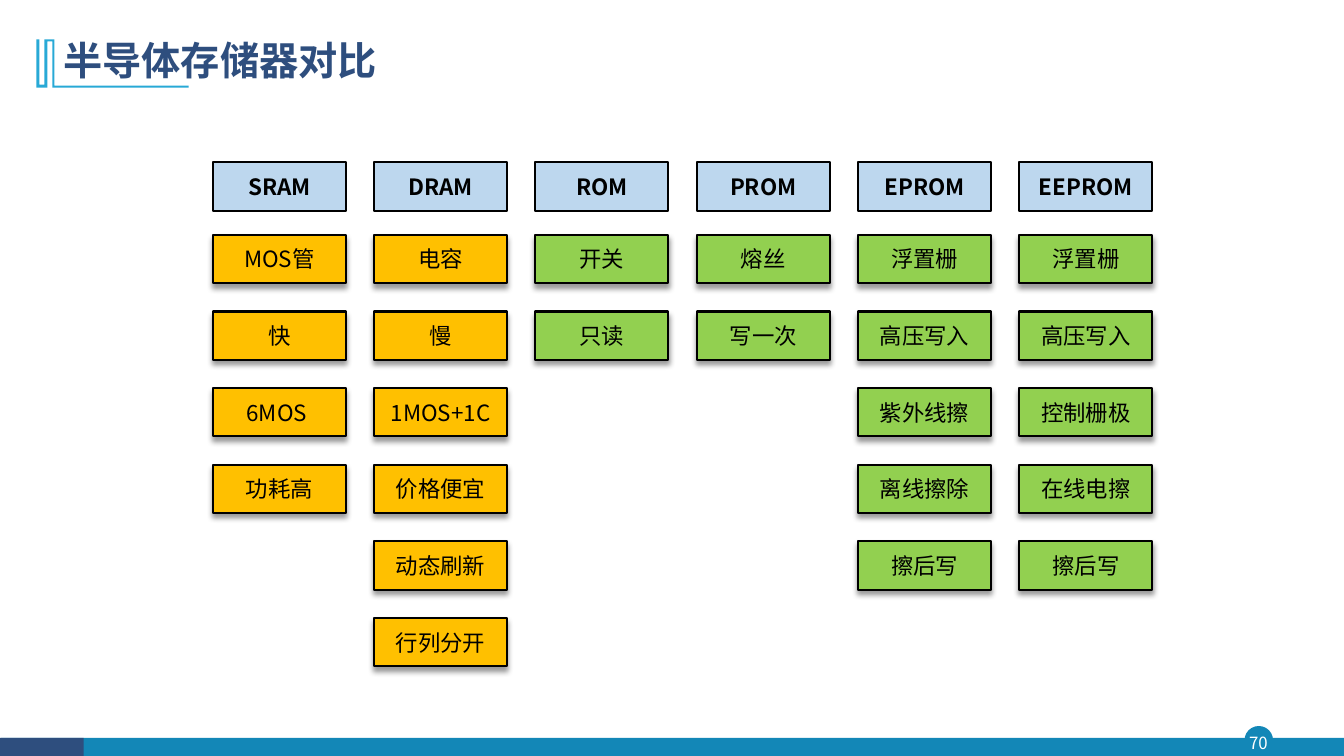
"""Build the slide comparing semiconductor memories."""
from lxml import etree
from pptx import Presentation
from pptx.dml.color import RGBColor
from pptx.enum.shapes import MSO_SHAPE
from pptx.enum.text import MSO_ANCHOR, PP_ALIGN
from pptx.oxml import parse_xml
from pptx.oxml.ns import nsdecls, qn
from pptx.util import Inches, Pt

RECT, OVAL = MSO_SHAPE.RECTANGLE, MSO_SHAPE.OVAL
MIDDLE = MSO_ANCHOR.MIDDLE
LEFT, CENTER = PP_ALIGN.LEFT, PP_ALIGN.CENTER

FONT = "Noto Sans CJK SC"
NAVY, TEAL, CYAN = "2E4E7E", "1387B7", "28A9D6"
BLUE, ORANGE, GREEN = "BDD7EE", "FFC000", "92D050"
BLACK, WHITE = "000000", "FFFFFF"

TITLE = "半导体存储器对比"
PAGE = "70"
MEMORIES = [
    ("SRAM", ORANGE, ["MOS管", "快", "6MOS ", "功耗高"]),
    ("DRAM", ORANGE, ["电容", "慢", "1MOS+1C", "价格便宜", "动态刷新", "行列分开"]),
    ("ROM", GREEN, ["开关", "只读"]),
    ("PROM", GREEN, ["熔丝", "写一次"]),
    ("EPROM", GREEN, ["浮置栅", "高压写入", "紫外线擦", "离线擦除", "擦后写"]),
    ("EEPROM", GREEN, ["浮置栅", "高压写入", "控制栅极", "在线电擦", "擦后写"]),
]
GRID_LEFT, COL_STEP = 2.11, 1.6
HEAD_TOP, ROW_TOP, ROW_STEP = 1.61, 2.33, 0.76
BOX_W, BOX_H = 1.32, 0.48
FOOTER = [
    (OVAL, 12.35, 7.21, 0.27, 0.27, TEAL),
    (RECT, 0.01, 7.32, 13.32, 0.19, TEAL),
    (RECT, 0, 7.32, 0.83, 0.19, NAVY),
]
TITLE_MARK = [
    (0.54, 0.39), (0.54, 0.85), (1.87, 0.85), (1.87, 0.87), (0.52, 0.87),
    (0.52, 0.41), (0.47, 0.41), (0.47, 0.87), (0.36, 0.87), (0.36, 0.39),
    (0.39, 0.39), (0.39, 0.84), (0.44, 0.84), (0.44, 0.39),
]


def rgb(value):
    return RGBColor.from_string(value)


def write(sp, text, size, color, bold=False, align=CENTER):
    tf = sp.text_frame
    tf.text = text
    tf.word_wrap = True
    tf.vertical_anchor = MIDDLE
    p = tf.paragraphs[0]
    p.alignment = align
    font = p.runs[0].font
    font.size, font.bold, font.name = Pt(size), bold, FONT
    font.color.rgb = rgb(color)
    latin = p.runs[0]._r.rPr.find(qn("a:latin"))
    ea = etree.Element(qn("a:ea"), typeface=FONT)
    latin.addnext(ea)


def clear_insets(sp):
    tf = sp.text_frame
    tf.margin_left = tf.margin_right = tf.margin_top = tf.margin_bottom = 0


def paint(sp, fill, line=None, width=1):
    sp.shadow.inherit = False
    sp.fill.solid()
    sp.fill.fore_color.rgb = rgb(fill)
    if line:
        sp.line.color.rgb = rgb(line)
        sp.line.width = Pt(width)
    else:
        sp.line.fill.background()


def add_box(slide, col, top, text, fill, bold=False):
    left = GRID_LEFT + col * COL_STEP
    sp = slide.shapes.add_shape(RECT, Inches(left), Inches(top), Inches(BOX_W), Inches(BOX_H))
    paint(sp, fill, BLACK, 1.5)
    clear_insets(sp)
    write(sp, text, 16, BLACK, bold)
    return sp


def add_shadow(sp):
    effects = sp._element.spPr.find(qn("a:effectLst"))
    effects.append(parse_xml(
        f'<a:outerShdw {nsdecls("a")} blurRad="{Pt(4)}" dist="{Pt(3)}" dir="5400000" '
        f'algn="t" rotWithShape="0"><a:srgbClr val="{BLACK}"><a:alpha val="40000"/>'
        '</a:srgbClr></a:outerShdw>'))


def add_frame(slide):
    for kind, left, top, width, height, color in FOOTER:
        sp = slide.shapes.add_shape(kind, Inches(left), Inches(top), Inches(width), Inches(height))
        paint(sp, color, TEAL if kind == OVAL else None)
    page = slide.shapes.add_textbox(Inches(12.32), Inches(7.21), Inches(0.32), Inches(0.31))
    clear_insets(page)
    write(page, PAGE, 12, WHITE)
    points = [(Inches(x), Inches(y)) for x, y in TITLE_MARK]
    builder = slide.shapes.build_freeform(*points[0])
    builder.add_line_segments(points[1:], close=True)
    paint(builder.convert_to_shape(), CYAN)


def add_title(slide):
    title = slide.shapes.title
    title.left, title.top = Inches(0.53), Inches(0.28)
    title.width, title.height = Inches(11.5), Inches(0.68)
    write(title, TITLE, 28, NAVY, True, LEFT)
    title.text_frame.paragraphs[0].line_spacing = 0.9


def main():
    prs = Presentation()
    prs.slide_width, prs.slide_height = Inches(13.33), Inches(7.5)
    slide = prs.slides.add_slide(prs.slide_layouts[5])
    add_frame(slide)
    add_title(slide)
    for col, (name, fill, traits) in enumerate(MEMORIES):
        add_box(slide, col, HEAD_TOP, name, BLUE, True)
        for row, trait in enumerate(traits):
            add_shadow(add_box(slide, col, ROW_TOP + row * ROW_STEP, trait, fill))
    prs.save("out.pptx")


if __name__ == "__main__":
    main()
